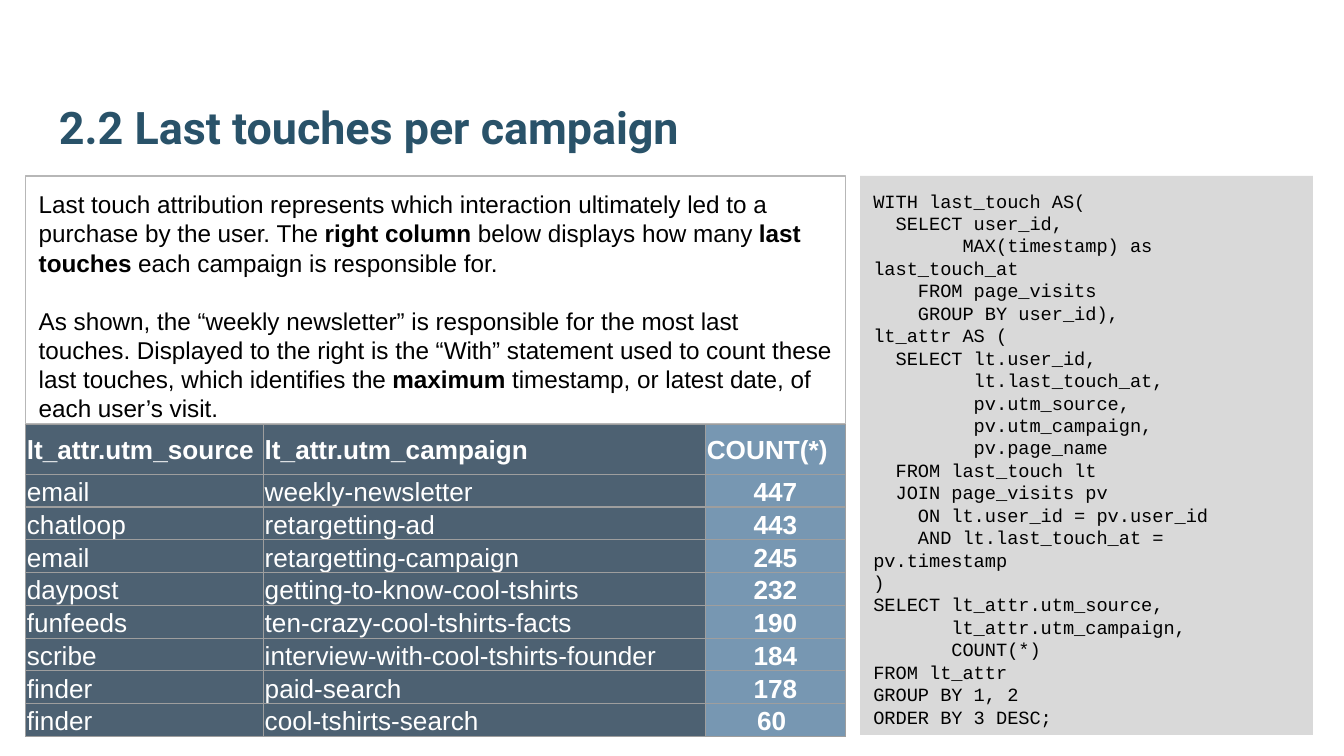
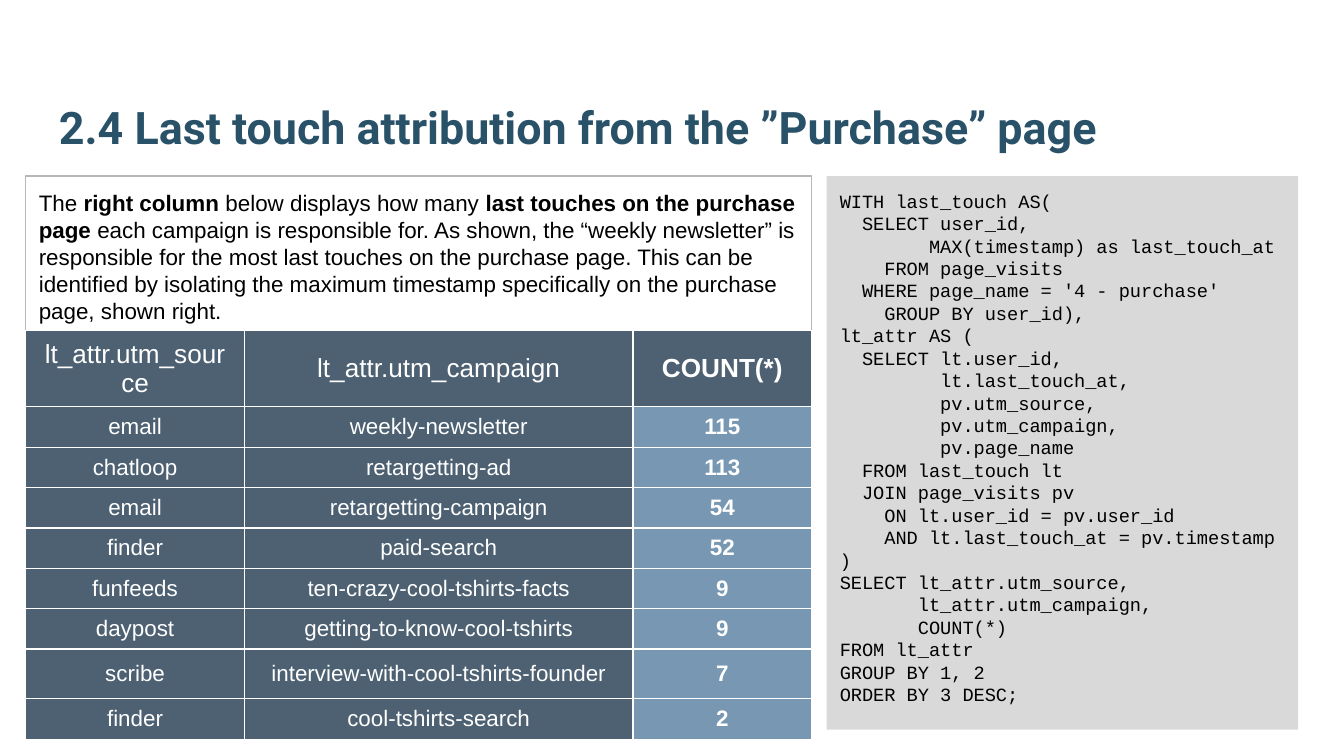
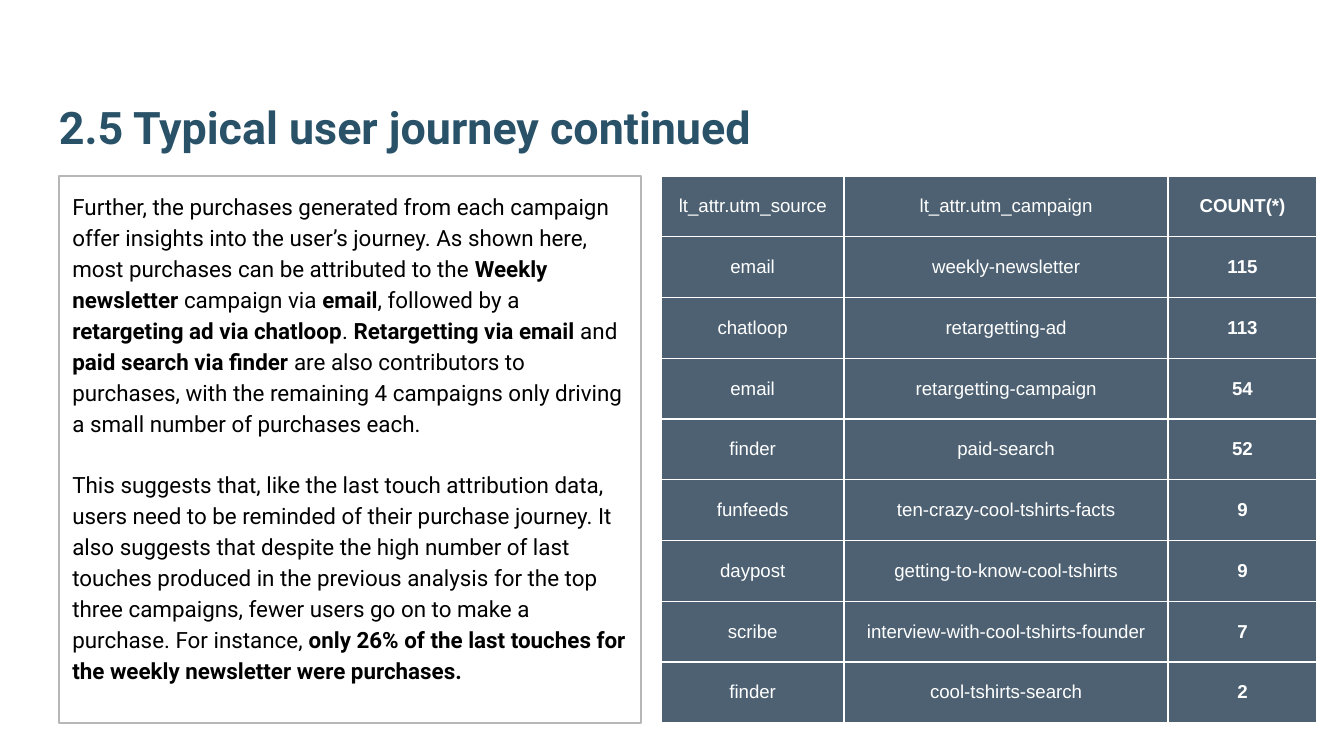
from lxml import etree
from pptx import Presentation
from pptx.dml.color import RGBColor
from pptx.enum.shapes import MSO_SHAPE
from pptx.enum.text import MSO_ANCHOR, PP_ALIGN
from pptx.oxml.ns import qn
from pptx.util import Inches, Pt

RECTANGLE = MSO_SHAPE.RECTANGLE
TOP, MIDDLE, BOTTOM = MSO_ANCHOR.TOP, MSO_ANCHOR.MIDDLE, MSO_ANCHOR.BOTTOM
LEFT, CENTER = PP_ALIGN.LEFT, PP_ALIGN.CENTER

COLUMNS, ROWS = 100, 56.25
UNIT = 0.1
CONTENT_TOP = 13.1
WIDE_LEFT = 1.9
INSET = 0.1

TITLE_COLOR = "295269"
BLACK, WHITE = "000000", "FFFFFF"
CODE_FILL = "D9D9D9"
FRAME = "B7B7B7"
GRAY_RULE = "9E9E9E"
SLATE, STEEL = "4D6172", "7797B2"
SANS, MONO, HEADING = "Arial", "Courier New", "Roboto"

HEADERS = ["lt_attr.utm_source", "lt_attr.utm_campaign", "COUNT(*)"]
SOURCES = {
    "weekly-newsletter": "email",
    "retargetting-ad": "chatloop",
    "retargetting-campaign": "email",
    "getting-to-know-cool-tshirts": "daypost",
    "ten-crazy-cool-tshirts-facts": "funfeeds",
    "interview-with-cool-tshirts-founder": "scribe",
    "paid-search": "finder",
    "cool-tshirts-search": "finder",
}
LAST_TOUCHES = {
    "weekly-newsletter": "447",
    "retargetting-ad": "443",
    "retargetting-campaign": "245",
    "getting-to-know-cool-tshirts": "232",
    "ten-crazy-cool-tshirts-facts": "190",
    "interview-with-cool-tshirts-founder": "184",
    "paid-search": "178",
    "cool-tshirts-search": "60 ",
}
PURCHASES = {
    "weekly-newsletter": "115",
    "retargetting-ad": "113",
    "retargetting-campaign": "54",
    "paid-search": "52",
    "ten-crazy-cool-tshirts-facts": "9",
    "getting-to-know-cool-tshirts": "9",
    "interview-with-cool-tshirts-founder": "7",
    "cool-tshirts-search": "2",
}

QUERY_START = """WITH last_touch AS(
  SELECT user_id,
        MAX(timestamp) as last_touch_at
    FROM page_visits"""
PURCHASE_FILTER = "  WHERE page_name = '4 - purchase'"
QUERY_END = """    GROUP BY user_id),
lt_attr AS (
  SELECT lt.user_id,
         lt.last_touch_at,
         pv.utm_source,
         pv.utm_campaign,
         pv.page_name
  FROM last_touch lt
  JOIN page_visits pv
    ON lt.user_id = pv.user_id
    AND lt.last_touch_at = pv.timestamp
)
SELECT lt_attr.utm_source,
       lt_attr.utm_campaign,
       COUNT(*)
FROM lt_attr
GROUP BY 1, 2
ORDER BY 3 DESC;"""

LAST_TOUCH_TEXT = [
    "Last touch attribution represents which interaction ultimately led to a purchase "
    "by the user. The **right column **below displays how many **last touches **each "
    "campaign is responsible for.",
    "As shown, the “weekly newsletter” is responsible for the most last touches. "
    "Displayed to the right is the “With” statement used to count these last touches, "
    "which identifies the **maximum** timestamp, or latest date, of each user’s visit.",
]
PURCHASE_TEXT = [
    "The **right column **below displays how many **last touches on the purchase page "
    "**each campaign is responsible for. As shown, the “weekly newsletter” is "
    "responsible for the most last touches on the purchase page. This can be "
    "identified by isolating the maximum timestamp specifically on the purchase page, "
    "shown right.",
]
JOURNEY_TEXT = [
    "Further, the purchases generated from each campaign offer insights into the "
    "user’s journey. As shown here, most purchases can be attributed to the **Weekly "
    "newsletter **campaign via **email**, followed by a **retargeting ad via "
    "chatloop**. **Retargetting via email** and **paid search via finder **are also "
    "contributors to purchases, with the remaining 4 campaigns only driving a small "
    "number of purchases each.",
    "This suggests that, like the last touch attribution data, users need to be "
    "reminded of their purchase journey. It also suggests that despite the high number "
    "of last touches produced in the previous analysis for the top three campaigns, "
    "fewer users go on to make a purchase. For instance, **only 26% of the last "
    "touches for the weekly newsletter were purchases.**",
]


def color(value):
    return RGBColor.from_string(value)


def grid(*units):
    return [Inches(unit * UNIT) for unit in units]


def set_insets(target, side, top, bottom):
    target.margin_left = target.margin_right = Inches(side)
    target.margin_top, target.margin_bottom = Inches(top), Inches(bottom)


def add_span(para, text, size, font, ink, bold=False):
    span = para.add_run()
    span.text = text
    span.font.size = Pt(size)
    span.font.name = font
    span.font.bold = bold
    span.font.color.rgb = color(ink)


def write_paragraphs(box, texts, size, font, gap=0, spacing=None):
    frame = box.text_frame
    frame.word_wrap = True
    frame.vertical_anchor = TOP
    set_insets(frame, INSET, INSET, INSET)
    for index, text in enumerate(texts):
        para = frame.add_paragraph() if index else frame.paragraphs[0]
        para.alignment = LEFT
        if spacing:
            para.line_spacing = spacing
        if index and gap:
            para.space_before = Pt(gap)
        for part, words in enumerate(text.split("**")):
            if words:
                add_span(para, words, size, font, BLACK, part % 2 == 1)


def add_title(page, text):
    box = page.shapes.add_textbox(*grid(3.4, 3.2, 93.2, 9.2))
    frame = box.text_frame
    frame.word_wrap = True
    frame.vertical_anchor = BOTTOM
    set_insets(frame, INSET, INSET, INSET)
    add_span(frame.paragraphs[0], text, 24, HEADING, TITLE_COLOR, True)


def add_panel(page, left, width, height):
    panel = page.shapes.add_shape(RECTANGLE, *grid(left, CONTENT_TOP, width, height))
    panel.shadow.inherit = False
    return panel


def add_code(page, left, width, height, query):
    panel = add_panel(page, left, width, height)
    panel.fill.solid()
    panel.fill.fore_color.rgb = color(CODE_FILL)
    panel.line.fill.background()
    write_paragraphs(panel, query.split("\n"), 10, MONO)


def add_commentary(page, left, width, height, texts, size, font, gap=0, spacing=None):
    panel = add_panel(page, left, width, height)
    panel.fill.background()
    panel.line.color.rgb = color(FRAME)
    panel.line.width = Pt(0.75)
    write_paragraphs(panel, texts, size, font, gap, spacing)


def set_borders(cell, ink):
    properties = cell._tc.get_or_add_tcPr()
    for side in ("a:lnL", "a:lnR", "a:lnT", "a:lnB"):
        line = etree.SubElement(properties, qn(side), w=str(Pt(0.75)))
        fill = etree.SubElement(line, qn("a:solidFill"))
        etree.SubElement(fill, qn("a:srgbClr"), val=ink)


def add_cell(cell, text, size, bold, align, anchor, fill, rule, insets):
    set_borders(cell, rule)
    cell.fill.solid()
    cell.fill.fore_color.rgb = color(fill)
    cell.vertical_anchor = anchor
    set_insets(cell, *insets)
    para = cell.text_frame.paragraphs[0]
    para.alignment = align
    add_span(para, text, size, SANS, WHITE, bold)


def add_counts(page, left, top, widths, heights, counts, header_size, body_size,
               header_fill=SLATE, count_fill=SLATE, rule=WHITE, compact=False):
    records = [HEADERS] + [[SOURCES[name], name, count] for name, count in counts.items()]
    frame = page.shapes.add_table(
        len(records), len(HEADERS), *grid(left, top, sum(widths), sum(heights)))
    table = frame.table
    table.first_row = table.horz_banding = False
    for column, width in zip(table.columns, grid(*widths)):
        column.width = width
    for row, height in zip(table.rows, grid(*heights)):
        row.height = height
    insets = (0.01, 0.01, 0) if compact else (0.1, 0.05, 0.05)
    for row, record in enumerate(records):
        header = row == 0
        for column, text in enumerate(record):
            counting = column == 2
            fill = SLATE
            if counting:
                fill = header_fill if header else count_fill
            align = LEFT if compact and (header or not counting) else CENTER
            anchor = BOTTOM if compact and not header else MIDDLE
            add_cell(table.cell(row, column), text, header_size if header else body_size,
                     counting or (compact and header), align, anchor, fill, rule, insets)


def add_page(deck, title):
    page = deck.slides.add_slide(deck.slide_layouts[6])
    add_title(page, title)
    return page


def build_last_touches(deck):
    page = add_page(deck, "2.2 Last touches per campaign")
    add_code(page, 64, 33.7, 41.6, "\n".join([QUERY_START, QUERY_END]))
    add_commentary(page, WIDE_LEFT, 61, 18.4, LAST_TOUCH_TEXT, 13, SANS, gap=15.5)
    add_counts(page, WIDE_LEFT, 31.6, [17.7, 32.9, 10.4], [3.7] + [2.3] * 8,
               LAST_TOUCHES, 14, 14, STEEL, STEEL, GRAY_RULE, compact=True)


def build_purchase_page(deck):
    page = add_page(deck, "2.4 Last touch attribution from the ”Purchase” page")
    add_code(page, 61.5, 35.1, 41.2, "\n".join([QUERY_START, PURCHASE_FILTER, QUERY_END]))
    add_commentary(page, WIDE_LEFT, 58.5, 11.5, PURCHASE_TEXT, 12, SANS)
    add_counts(page, WIDE_LEFT, 24.6, [16.3, 28.9, 13.3], [5.5] + [2.9] * 6 + [3.7, 2.9],
               PURCHASES, 14, 12, count_fill=STEEL)


def build_journey(deck):
    page = add_page(deck, "2.5 Typical user journey continued")
    add_commentary(page, 4.4, 43.3, 40.7, JOURNEY_TEXT, 12, HEADING, gap=16.5, spacing=1.15)
    add_counts(page, 49.2, CONTENT_TOP, [13.6, 24.1, 11.1], [40.7 / 9] * 9,
               PURCHASES, 10, 10)


def main():
    deck = Presentation()
    deck.slide_width, deck.slide_height = grid(COLUMNS, ROWS)
    build_last_touches(deck)
    build_purchase_page(deck)
    build_journey(deck)
    deck.save("out.pptx")


if __name__ == "__main__":
    main()
